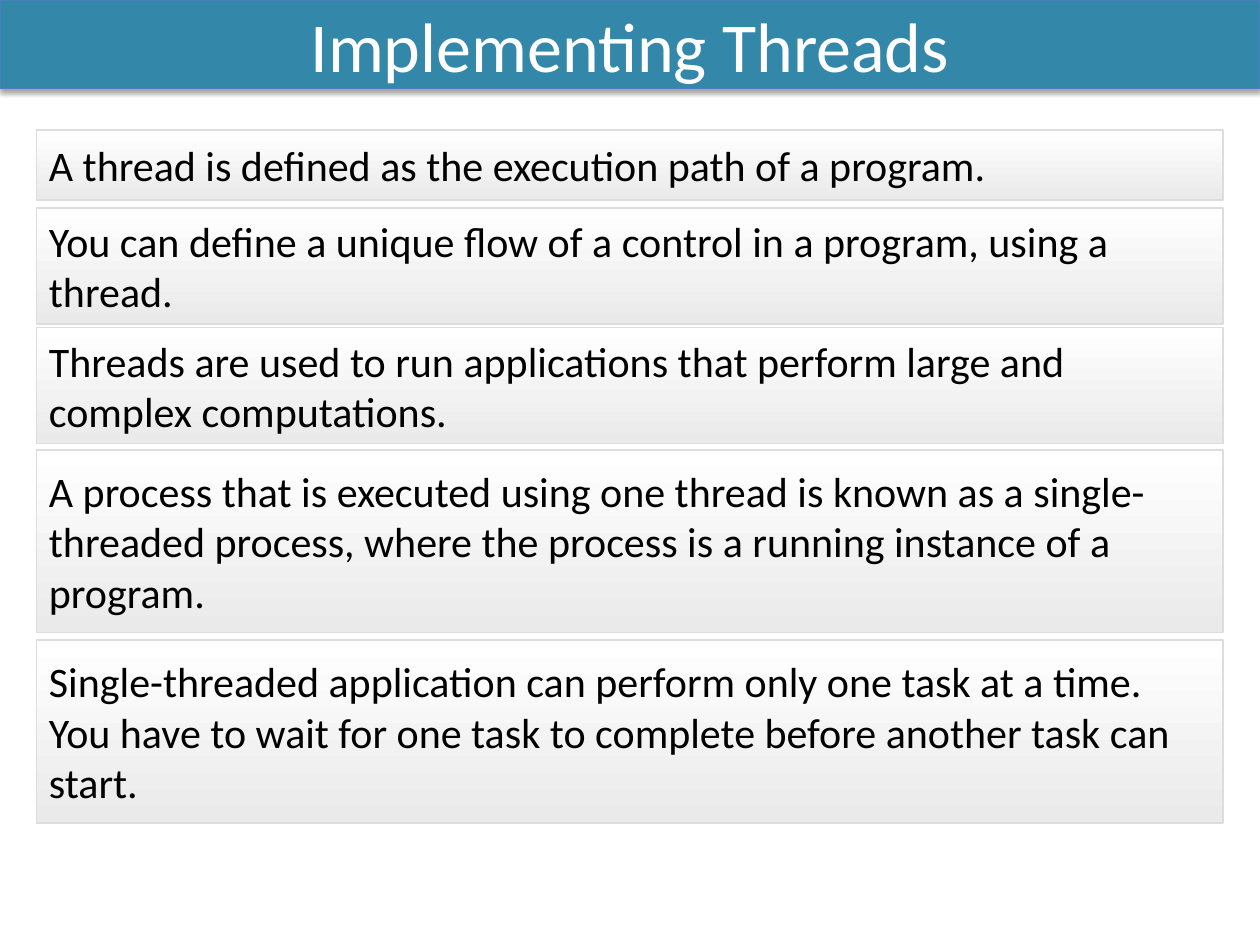
from lxml import etree
from pptx import Presentation
from pptx.dml.color import RGBColor
from pptx.enum.shapes import MSO_SHAPE
from pptx.enum.text import MSO_ANCHOR, MSO_AUTO_SIZE, PP_ALIGN
from pptx.oxml import parse_xml
from pptx.util import Pt

RECT = MSO_SHAPE.RECTANGLE
MIDDLE = MSO_ANCHOR.MIDDLE
FIXED = MSO_AUTO_SIZE.NONE
LEFT, CENTER = PP_ALIGN.LEFT, PP_ALIGN.CENTER

WHITE = RGBColor(0xFF, 0xFF, 0xFF)
BLACK = RGBColor(0x00, 0x00, 0x00)
TEAL = RGBColor(0x33, 0x88, 0xA9)
BLUE = RGBColor(0x4B, 0x7E, 0xBC)
PALE = RGBColor(0xEA, 0xEA, 0xEA)
GREY = RGBColor(0xDD, 0xDD, 0xDD)

FONT = "Calibri"
WIDE, HIGH = 720, 540
EDGE = 20.9

SHADE = (
    '<a:effectLst xmlns:a="http://schemas.openxmlformats.org/drawingml/2006/main">'
    '<a:outerShdw blurRad="{blur}" dist="{dist}" dir="5400000" rotWithShape="0">'
    '<a:srgbClr val="000000"><a:alpha val="35000"/></a:srgbClr>'
    '</a:outerShdw></a:effectLst>'
)

PANELS = [
    (74.2, 40.3, "A thread is defined as the execution path of a program."),
    (118.8, 66.2, "You can define a unique flow of a control in a program, "
                  "using a thread."),
    (187.2, 66.2, "Threads are used to run applications that perform large "
                  "and complex computations."),
    (257, 104.4, "A process that is executed using one thread is known as a "
                 "single-threaded process, where the process is a running "
                 "instance of a program."),
    (365.8, 104.4, "Single-threaded application can perform only one task at "
                   "a time. You have to wait for one task to complete before "
                   "another task can start."),
]


def set_line(shape, color, width):
    """Outline a shape."""
    shape.line.color.rgb = color
    shape.line.width = Pt(width)


def set_text(shape, text, size, color, align):
    """Write one centred-in-height paragraph into a shape."""
    frame = shape.text_frame
    frame.word_wrap = True
    frame.auto_size = FIXED
    frame.vertical_anchor = MIDDLE
    para = frame.paragraphs[0]
    para.alignment = align
    run = para.add_run()
    run.text = text
    run.font.name = FONT
    run.font.size = Pt(size)
    run.font.color.rgb = color


def add_banner(slide, text):
    """Turn the title placeholder into a shaded banner."""
    title = slide.shapes.title
    title.left, title.top = Pt(0), Pt(0)
    title.width, title.height = Pt(WIDE), Pt(50.4)
    title.fill.solid()
    title.fill.fore_color.rgb = TEAL
    set_line(title, BLUE, 0.75)
    shade = SHADE.format(blur=Pt(3.1), dist=Pt(1.8))
    title.element.spPr.append(parse_xml(etree.tostring(etree.XML(shade))))
    set_text(title, text, 40, WHITE, CENTER)


def add_panel(slide, top, height, text):
    """Add a full-width panel with a downward gradient."""
    panel = slide.shapes.add_shape(
        RECT, Pt(EDGE), Pt(top), Pt(WIDE - 2 * EDGE), Pt(height))
    panel.shadow.inherit = False
    panel.fill.gradient()
    panel.fill.gradient_angle = 270
    for stop, color in zip(panel.fill.gradient_stops, (WHITE, PALE)):
        stop.color.rgb = color
    set_line(panel, GREY, 1)
    set_text(panel, text, 24, BLACK, LEFT)


def main():
    """Build and save the slide."""
    deck = Presentation()
    deck.slide_width, deck.slide_height = Pt(WIDE), Pt(HIGH)
    slide = deck.slides.add_slide(deck.slide_layouts.get_by_name("Title Only"))
    add_banner(slide, "Implementing Threads")
    for top, height, text in PANELS:
        add_panel(slide, top, height, text)
    deck.save("out.pptx")


if __name__ == "__main__":
    main()
